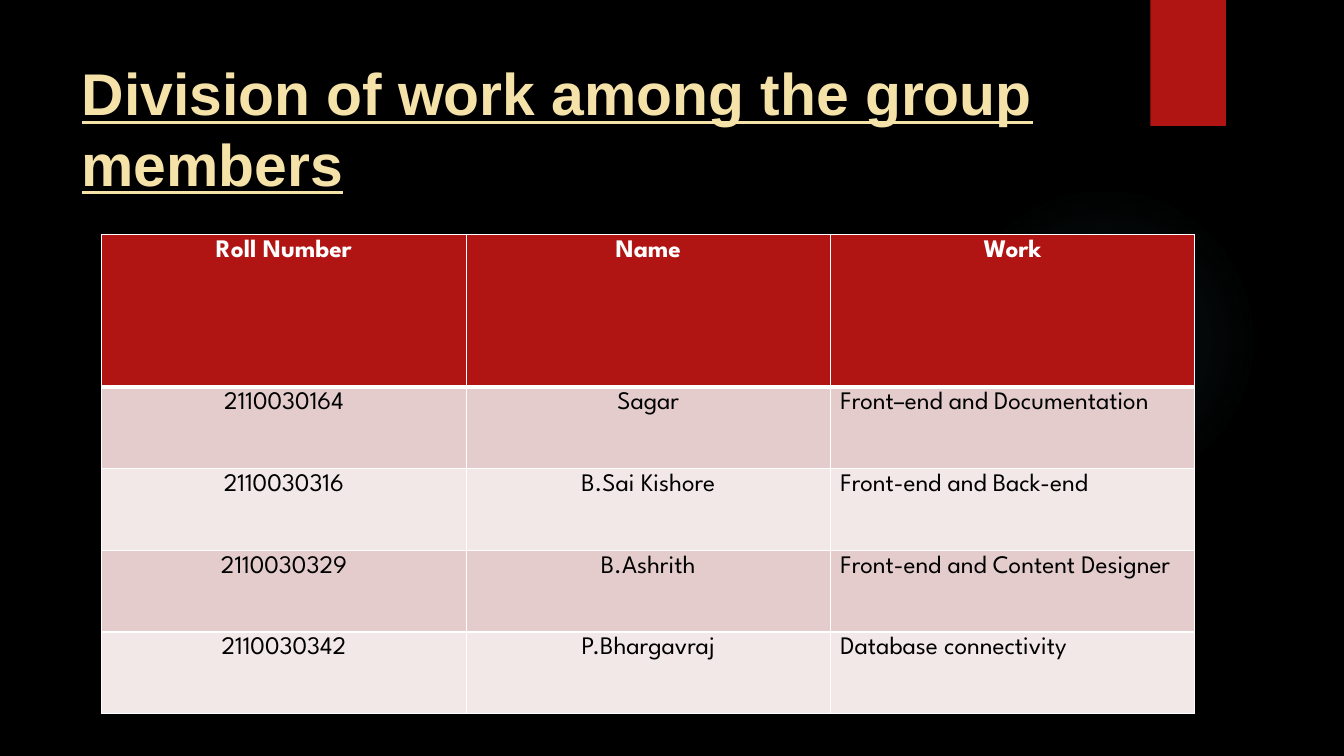
from lxml import etree
from pptx import Presentation
from pptx.dml.color import RGBColor
from pptx.enum.shapes import MSO_SHAPE as SHAPE
from pptx.enum.text import MSO_ANCHOR as ANCHOR, MSO_AUTO_SIZE as AUTO, PP_ALIGN as ALIGN
from pptx.oxml import parse_xml
from pptx.oxml.ns import nsdecls, qn
from pptx.util import Inches, Pt

RED, WHITE, BLACK = "B01513", "FFFFFF", "000000"
BANDS = ("E4CCCC", "F2E8E7")
GLOW = "50B9C1"
ROWS = [
    ("Roll Number", "Name", "Work"),
    ("2110030164", "Sagar", "Front–end and Documentation"),
    ("2110030316", "B.Sai Kishore", "Front-end and Back-end"),
    ("2110030329", "B.Ashrith", "Front-end and Content Designer"),
    ("2110030342", "P.Bhargavraj", "Database connectivity"),
]
TITLE_FONT = {"name": "Arial", "size": Pt(42), "bold": True, "underline": True}
HEAD_FONT = {"name": "League Spartan", "size": Pt(18), "bold": True}
BODY_FONT = {**HEAD_FONT, "bold": False}


def rgb(value):
    return RGBColor.from_string(value)


def set_text(tf, text, font, color, align):
    p = tf.paragraphs[0]
    p.alignment = align
    r = p.add_run()
    r.text = text
    for key, value in font.items():
        setattr(r.font, key, value)
    r.font.color.rgb = rgb(color)


def add_plain_shape(s, kind, *box):
    sp = s.shapes.add_shape(kind, *map(Inches, box))
    sp.shadow.inherit = False
    sp.line.fill.background()
    return sp


def add_glow(s, *box):
    sp = add_plain_shape(s, SHAPE.OVAL, *box)
    sp.fill.background()
    stops = "".join(
        f'<a:gs pos="{pos * 1000}"><a:srgbClr val="{GLOW}">'
        f'<a:alpha val="{alpha * 1000}"/></a:srgbClr></a:gs>'
        for pos, alpha in ((0, 7), (36, 6), (69, 0), (100, 0)))
    grad = parse_xml(
        f'<a:gradFill {nsdecls("a")} rotWithShape="1"><a:gsLst>{stops}</a:gsLst>'
        '<a:path path="circle"><a:fillToRect l="50000" t="50000" r="50000" b="50000"/>'
        '</a:path></a:gradFill>')
    sp_pr = sp.fill._xPr
    sp_pr.replace(sp_pr.find(qn("a:noFill")), grad)


def add_ribbon(s, *box):
    sp = add_plain_shape(s, SHAPE.RECTANGLE, *box)
    sp.fill.solid()
    sp.fill.fore_color.rgb = rgb(RED)
    effects = sp.fill._xPr.find(qn("a:effectLst"))
    shadow = etree.SubElement(effects, qn("a:outerShdw"), blurRad=str(Pt(3)),
                              dist=str(Pt(2)), dir="5400000", rotWithShape="0")
    color = etree.SubElement(shadow, qn("a:srgbClr"), val=BLACK)
    etree.SubElement(color, qn("a:alpha"), val="45000")


def add_title(s, text, *box):
    sp = s.shapes.title
    sp.left, sp.top, sp.width, sp.height = map(Inches, box)
    tf = sp.text_frame
    for key, value in {"word_wrap": True, "auto_size": AUTO.NONE,
                       "vertical_anchor": ANCHOR.MIDDLE}.items():
        setattr(tf, key, value)
    set_text(tf, text, TITLE_FONT, "F5E2A9", ALIGN.LEFT)


def set_borders(cell, widths):
    tc_pr = cell._tc.get_or_add_tcPr()
    for side, width in widths.items():
        ln = etree.SubElement(tc_pr, qn(f"a:ln{side}"), w=str(Pt(width)))
        fill = etree.SubElement(ln, qn("a:solidFill"))
        etree.SubElement(fill, qn("a:srgbClr"), val=WHITE)


def add_work_table(s, left, top, width, head_height, row_height):
    count, cols = len(ROWS), len(ROWS[0])
    height = head_height + row_height * (count - 1)
    table = s.shapes.add_table(count, cols, *map(Inches, (left, top, width, height))).table
    for col in table.columns:
        col.width = Inches(width / cols)
    for i, row in enumerate(ROWS):
        head = i == 0
        table.rows[i].height = Inches(head_height if head else row_height)
        for j, text in enumerate(row):
            cell = table.cell(i, j)
            set_borders(cell, {"L": 1, "R": 1, "T": 3 if i == 1 else 1, "B": 3 if head else 1})
            cell.fill.solid()
            cell.fill.fore_color.rgb = rgb(RED if head else BANDS[(i - 1) % 2])
            centred = head or j < cols - 1
            set_text(cell.text_frame, text, HEAD_FONT if head else BODY_FONT,
                     WHITE if head else BLACK, ALIGN.CENTER if centred else ALIGN.LEFT)


def main():
    prs = Presentation()
    prs.slide_width, prs.slide_height = Inches(13.33), Inches(7.5)
    s = prs.slides.add_slide(prs.slide_layouts[5])
    s.background.fill.solid()
    s.background.fill.fore_color.rgb = rgb(BLACK)
    add_glow(s, 9.41, 1.83, 3.08, 3.08)
    add_ribbon(s, 11.41, 0, 0.75, 1.25)
    add_title(s, "Division of work among the group members", 0.71, 0.5, 10.29, 1.53)
    add_work_table(s, 1.01, 2.33, 10.84, 1.51, 0.81)
    prs.save("out.pptx")


if __name__ == "__main__":
    main()
